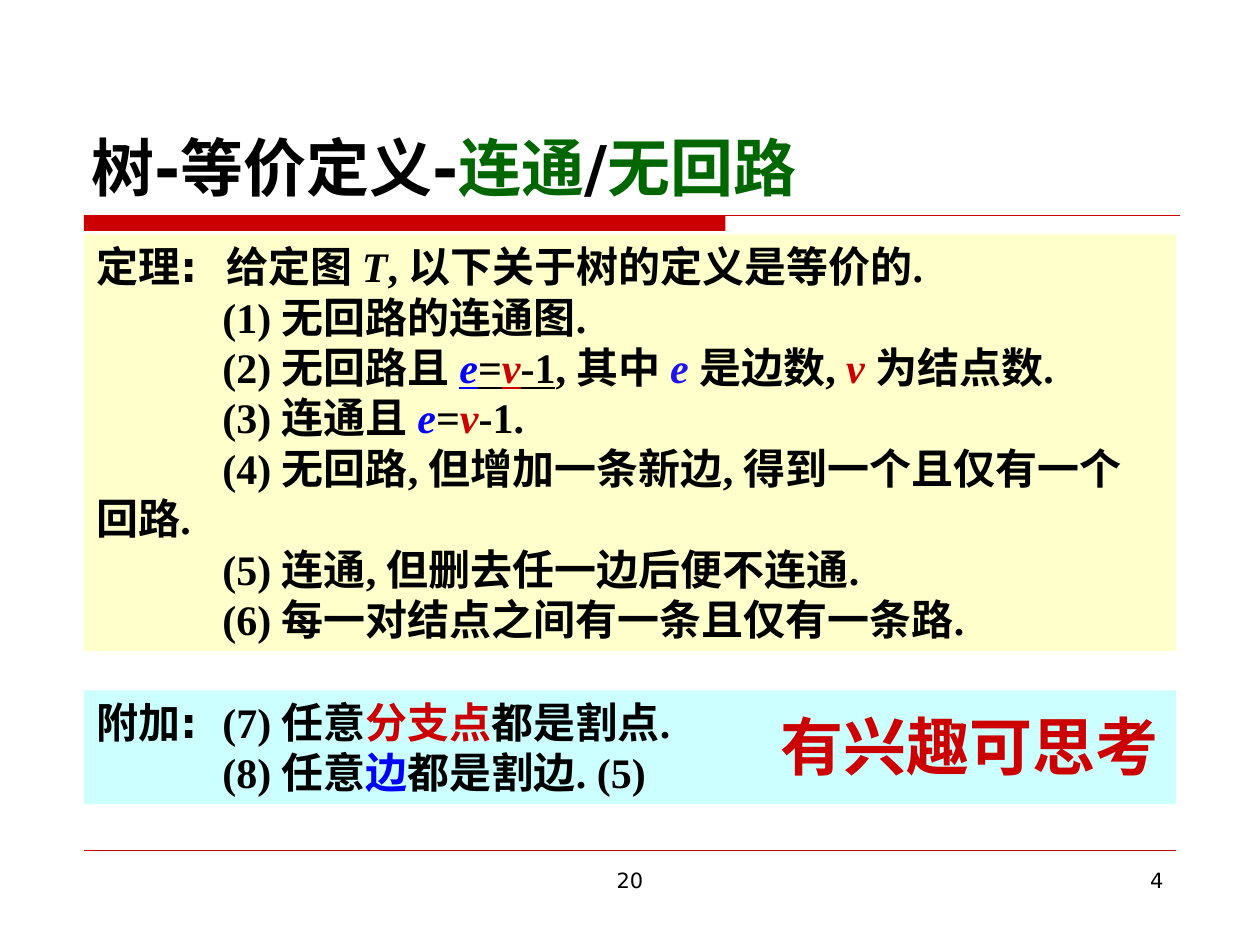
from dataclasses import dataclass

from lxml.etree import SubElement
from pptx import Presentation
from pptx.dml.color import RGBColor
from pptx.enum.shapes import MSO_CONNECTOR, MSO_SHAPE
from pptx.enum.text import MSO_ANCHOR, MSO_AUTO_SIZE, PP_ALIGN
from pptx.oxml.ns import qn
from pptx.util import Pt


@dataclass(frozen=True)
class Theme:
    sans: str = "DejaVu Sans"
    serif: str = "Times New Roman"
    title_size: int = 36
    body_size: int = 24
    footer_size: int = 12
    black: str = "000000"
    red: str = "CC0000"
    green: str = "006600"
    blue: str = "0000FF"
    soft_blue: str = "1F15E9"
    cream: str = "FFFFCC"
    cyan: str = "CCFFFF"


def span(text, **style):
    return text, style


def add_tab_stops(para, count=8, gap=72):
    tabs = SubElement(para._p.get_or_add_pPr(), qn("a:tabLst"))
    for index in range(count):
        SubElement(tabs, qn("a:tab"), pos=str(Pt(index * gap)), algn="l")


def write_span(para, text, *, font, size, color, bold=False, italic=False, underline=False):
    for index, line in enumerate(text.split("\n")):
        if index:
            para.add_line_break()
        if not line:
            continue
        run = para.add_run()
        run.text = line
        run.font.name = font
        run.font.size = Pt(size)
        run.font.bold = bold
        run.font.italic = italic
        run.font.underline = underline
        run.font.color.rgb = RGBColor.from_string(color)


class SlideBuilder:
    def __init__(self, page, theme):
        self.page = page
        self.theme = theme

    def rectangle(self, left, top, width, height, fill):
        box = self.page.shapes.add_shape(
            MSO_SHAPE.RECTANGLE, Pt(left), Pt(top), Pt(width), Pt(height))
        box.shadow.inherit = False
        box.fill.solid()
        box.fill.fore_color.rgb = RGBColor.from_string(fill)
        box.line.fill.background()
        return box

    def rule(self, left, right, y, weight):
        line = self.page.shapes.add_connector(
            MSO_CONNECTOR.STRAIGHT, Pt(left), Pt(y), Pt(right), Pt(y))
        line.line.color.rgb = RGBColor.from_string(self.theme.red)
        line.line.width = Pt(weight)
        SubElement(line._element.spPr, qn("a:effectLst"))

    def fill_text(self, box, spans, align=PP_ALIGN.LEFT, anchor=MSO_ANCHOR.TOP,
                  wrap=True, grow=False, **base):
        frame = box.text_frame
        frame.word_wrap = wrap
        frame.vertical_anchor = anchor
        frame.auto_size = MSO_AUTO_SIZE.SHAPE_TO_FIT_TEXT if grow else MSO_AUTO_SIZE.NONE
        para = frame.paragraphs[0]
        para.alignment = align
        add_tab_stops(para)
        for text, style in spans:
            write_span(para, text, **{"color": self.theme.black, **base, **style})

    def label(self, left, top, width, height, spans, **options):
        box = self.page.shapes.add_textbox(Pt(left), Pt(top), Pt(width), Pt(height))
        self.fill_text(box, spans, **options)

    def panel(self, left, top, width, height, fill, spans):
        box = self.rectangle(left, top, width, height, fill)
        self.fill_text(box, spans, grow=True, font=self.theme.serif,
                       size=self.theme.body_size, bold=True)

    def footer(self, left, width, text, align):
        self.label(left, 492, width, 37.5, [span(text)], align=align,
                   font=self.theme.sans, size=self.theme.footer_size)


def main():
    deck = Presentation()
    deck.slide_width, deck.slide_height = Pt(720), Pt(540)
    theme = Theme()
    slide = SlideBuilder(deck.slides.add_slide(deck.slide_layouts[6]), theme)
    left, width = 48, 624

    slide.rectangle(left, 123, 366.5, 9, theme.red)
    slide.rule(left, 674.5, 123.25, 0.75)
    slide.rule(left, left + width, 486, 0.25)
    slide.footer(246, 228, "20", PP_ALIGN.CENTER)
    slide.footer(516, 156, "4", PP_ALIGN.RIGHT)

    slide.label(45, 24, 630, 96, [
        span("树-等价定义-"),
        span("连通", color=theme.green),
        span("/"),
        span("无回路", color=theme.green),
    ], anchor=MSO_ANCHOR.BOTTOM, font=theme.sans, size=theme.title_size, bold=True)

    edges = span("e", color=theme.blue, italic=True)
    nodes = span("v", color=theme.red, italic=True)
    formula = [edges, span("="), nodes, span("-1")]
    underlined = [span(text, **style, underline=True) for text, style in formula]

    slide.panel(left, 134, width, 238, theme.cream, [
        span("定理"),
        span(":  ", font=theme.sans),
        span("给定图 "),
        span("T", italic=True),
        span(", 以下关于树的定义是等价的.\n\t(1) 无回路的连通图.\n\t(2) 无回路且 "),
        *underlined,
        span(", 其中 "),
        span("e ", color=theme.soft_blue, italic=True),
        span("是边数, "),
        span("v ", color=theme.red, italic=True),
        span("为结点数.\n\t(3) 连通且 "),
        *formula,
        span(".\n\t(4) 无回路, 但增加一条新边, 得到一个且仅有一个回路."
             "\n\t(5) 连通, 但删去任一边后便不连通."
             "\n\t(6) 每一对结点之间有一条且仅有一条路."),
    ])

    slide.panel(left, 394.5, width, 65, theme.cyan, [
        span("附加"),
        span(": \t", font=theme.sans),
        span("(7) 任意"),
        span("分支点", color=theme.red),
        span("都是割点.\n\t(8) 任意"),
        span("边", color=theme.blue),
        span("都是割边. (5)"),
    ])

    slide.label(439, 400.5, 230.5, 50.5, [span("有兴趣可思考")],
                align=PP_ALIGN.CENTER, wrap=False, grow=True, font=theme.serif,
                size=theme.title_size, color=theme.red, bold=True)

    deck.save("out.pptx")


if __name__ == "__main__":
    main()
